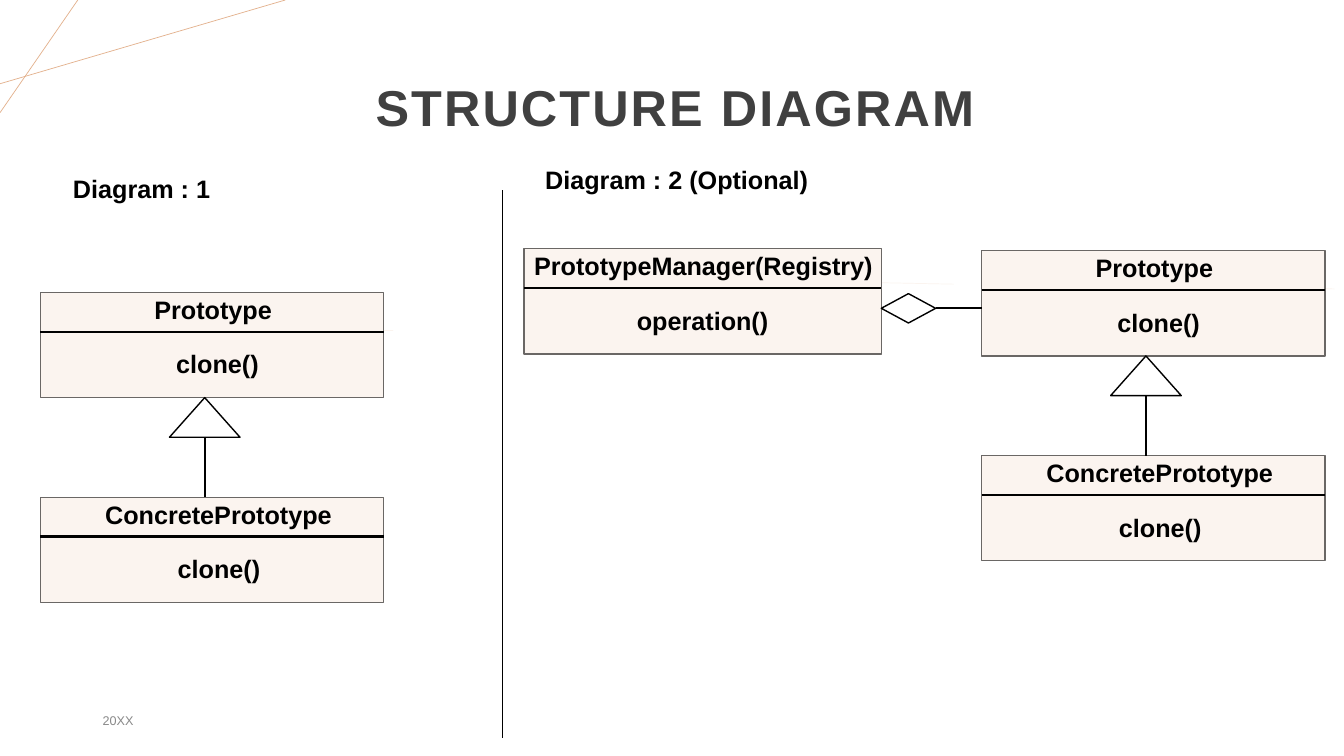
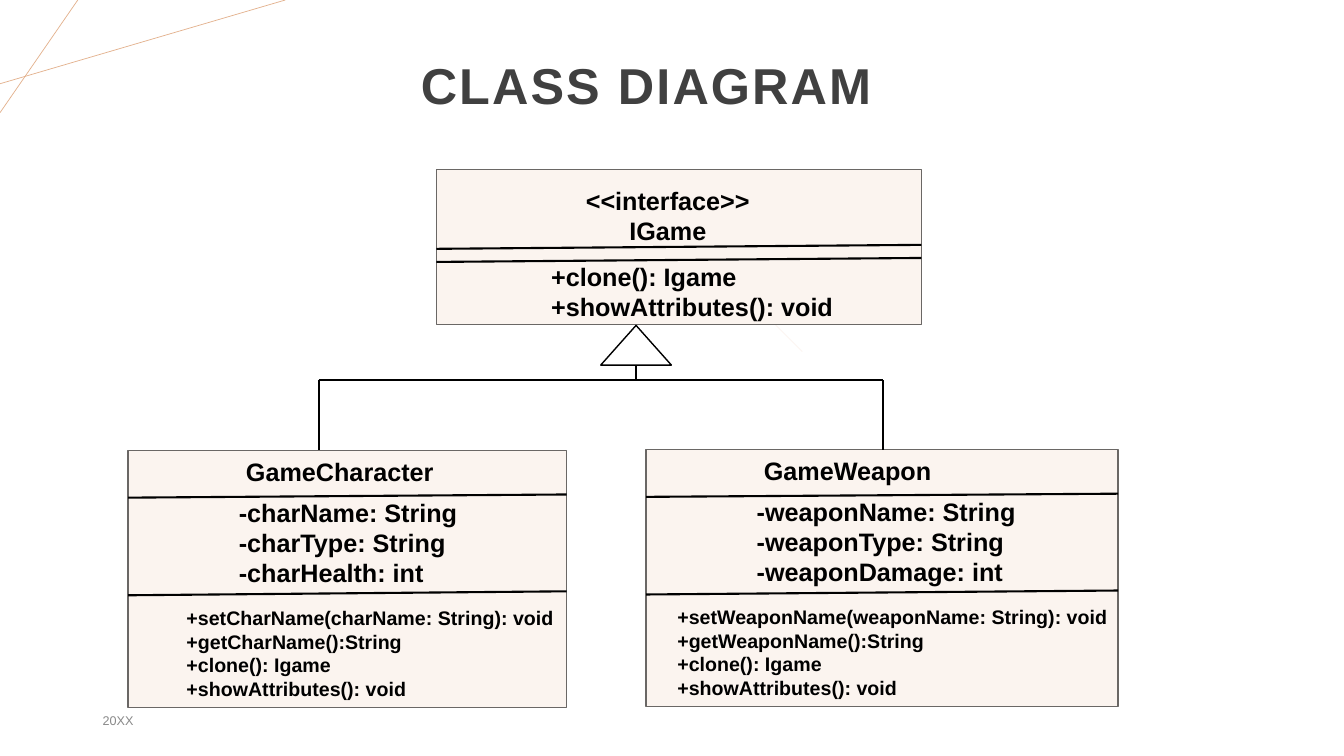
from pptx import Presentation
from pptx import util as u
from pptx.dml.color import RGBColor
from pptx.enum import shapes, text
from pptx.oxml.ns import qn
from lxml import etree

# Shared style: colours and text formats
INK, GREY, TITLE, WHITE = "000000", "898989", "404040", "FFFFFF"
BOX, EDGE, ACCENT = "FBF4EF", "6A6765", "E3B18D"
FORMATS = {
    "title": {"size": u.Pt(36), "bold": True},
    "body": {"size": u.Pt(18), "bold": True},
    "small": {"size": u.Pt(14), "bold": True},
    "footer": {"size": u.Pt(9), "bold": False},
}
LEFT, CENTER = text.PP_ALIGN.LEFT, text.PP_ALIGN.CENTER
TOP, MIDDLE = text.MSO_ANCHOR.TOP, text.MSO_ANCHOR.MIDDLE
TRIANGLE_W, TRIANGLE_H = 1.78, 1


def rgb(hex_string):
    return RGBColor.from_string(hex_string)


class Deck:
    def __init__(self):
        self.prs = Presentation()
        self.prs.slide_width, self.prs.slide_height = u.Cm(33.87), u.Cm(19.05)
        self.s = None

    def slide(self, title, x, y, h):
        """Start a slide with its corner lines, title and footer."""
        self.s = self.prs.slides.add_slide(self.prs.slide_layouts[6])
        self.line(0, 2.11, 7.19, 0, ACCENT, 0.5)
        self.line(1.96, 0, 0, 2.84, ACCENT, 0.5)
        tf = self.label([title], x, y, 29.21, h, "title", TITLE, CENTER, MIDDLE)
        p = tf.paragraphs[0]
        p.line_spacing = 0.9
        p.runs[0].font._element.set("spc", "150")
        self.label(["20XX"], 2.59, 17.65, 7.4, 1.02, "footer", GREY, anchor=MIDDLE)

    def label(self, lines, x, y, w, h=1, fmt="body", color=INK, align=LEFT, anchor=TOP):
        tf = self.s.shapes.add_textbox(*map(u.Cm, (x, y, w, h))).text_frame
        for name, value in {"word_wrap": True, "vertical_anchor": anchor, "margin_left": 0,
                            "margin_right": 0, "margin_top": 0, "margin_bottom": 0}.items():
            setattr(tf, name, value)
        for i, words in enumerate(lines):
            p = tf.paragraphs[0] if i == 0 else tf.add_paragraph()
            p.alignment = align
            r = p.add_run()
            r.text = words
            r.font.name = "Arial"
            r.font.color.rgb = rgb(color)
            for name, value in FORMATS[fmt].items():
                setattr(r.font, name, value)
        return tf

    def line(self, x1, y1, x2, y2, color=INK, width=1.5):
        sp = self.s.shapes.add_connector(shapes.MSO_CONNECTOR.STRAIGHT, *map(u.Cm, (x1, y1, x2, y2)))
        sp.line.color.rgb = rgb(color)
        sp.line.width = u.Pt(width)
        etree.SubElement(sp._element.spPr, qn("a:effectLst"))

    def shape(self, kind, x, y, w, h, fill=WHITE, edge=INK):
        sp = self.s.shapes.add_shape(kind, *map(u.Cm, (x, y, w, h)))
        sp.shadow.inherit = False
        sp.fill.solid()
        sp.fill.fore_color.rgb = rgb(fill)
        sp.line.color.rgb = rgb(edge)
        sp.line.width = u.Pt(1)

    def triangle(self, x, y):
        """Inheritance arrowhead with its tip at (x, y)."""
        self.shape(shapes.MSO_SHAPE.ISOSCELES_TRIANGLE, x - TRIANGLE_W / 2, y, TRIANGLE_W, TRIANGLE_H)

    def uml(self, x, y, w, h, rules, parts):
        """Class box; rules are (offset, rise), parts are (lines, dx, dy, format)."""
        self.shape(shapes.MSO_SHAPE.RECTANGLE, x, y, w, h, BOX, EDGE)
        for dy, rise in rules:
            self.line(x, y + dy, x + w, y + dy - rise)
        for lines, dx, dy, fmt in parts:
            self.label(lines, x + dx, y + dy, w - dx, 0.78 * len(lines), fmt)

    def simple_class(self, x, y, w, name, name_dx, method, method_dx):
        self.uml(x, y, w, 2.65, [(0.99, 0)],
                 [([name], name_dx, 0.05, "body"), ([method], method_dx, 1.42, "body")])

    def hierarchy(self, x, y):
        """Prototype above the class that inherits from it."""
        w, step, axis = 8.65, 5.16, x + 4.14
        self.line(x + 0.33, y + 0.79, x + 8.89, y + 0.96, BOX, 0.5)
        self.simple_class(x, y, w, "Prototype", 2.87, "clone()", 3.42)
        self.simple_class(x, y + step, w, "ConcretePrototype", 1.63, "clone()", 3.46)
        self.triangle(axis, y + 2.65)
        self.line(axis, y + 2.65 + TRIANGLE_H, axis, y + step)


def structure_diagram(d):
    d.slide("STRUCTURE DIAGRAM", 2.41, 0.94, 3.68)
    d.label(["Diagram : 1"], 1.84, 4.37, 6)
    d.label(["Diagram : 2 (Optional)"], 13.74, 4.14, 9)
    d.line(12.67, 4.8, 12.67, 18.59, width=0.5)
    d.hierarchy(1.02, 7.37)

    # Registry that aggregates the prototype, wide enough for its name
    x, w, axis, diamond_w, diamond_h = 13.21, 9, 7.77, 1.37, 0.74
    d.line(15.44, 6.99, 24.03, 7.16, BOX, 0.5)
    d.simple_class(x, 6.27, w, "PrototypeManager(Registry)", 0.25, "operation()", 2.84)
    d.hierarchy(24.74, 6.32)
    d.line(x + w + diamond_w, axis, 24.74, axis)
    d.shape(shapes.MSO_SHAPE.DIAMOND, x + w, axis - diamond_h / 2, diamond_w, diamond_h)


def class_diagram(d):
    d.slide("CLASS DIAGRAM", 1.68, 0.48, 3.51)
    shared = ["+clone(): Igame", "+showAttributes(): void"]

    # Interface
    d.line(17.68, 6.32, 20.22, 8.86, BOX, 0.5)
    d.uml(11, 4.27, 12.22, 3.91, [(2, 0.1), (2.33, 0.1)], [(shared, 2.89, 2.31, "body")])
    d.label(["<<interface>>", "IGame"], 13.02, 4.67, 7.62, 1.6, align=CENTER)

    # Implementing classes: name, box, attributes, own methods and their indent
    for name, x, y, w, attributes, methods, indent in (
        ("GameCharacter", 3.23, 11.35, 11.05,
         ["-charName: String", "-charType: String", "-charHealth: int"],
         ["+setCharName(charName: String): void", "+getCharName():String"], 1.47),
        ("GameWeapon", 16.28, 11.33, 11.9,
         ["-weaponName: String", "-weaponType: String", "-weaponDamage: int"],
         ["+setWeaponName(weaponName: String): void", "+getWeaponName():String"], 0.79),
    ):
        d.uml(x, y, w, 6.48, [(1.19, 0.08), (3.65, 0.1)],
              [([name], 2.97, 0.15, "body"), (attributes, 2.79, 1.17, "body"),
               (methods + shared, indent, 3.92, "small")])

    # Inheritance tree
    left, right, axis, bar = 8.03, 22.25, 16.03, 9.58
    d.line(left, bar, right, bar)
    for x in (left, right):
        d.line(x, bar, x, 11.33)
    d.line(axis, bar, axis, 9.02)
    d.triangle(axis, 8.2)


def main():
    d = Deck()
    structure_diagram(d)
    class_diagram(d)
    d.prs.save("out.pptx")


if __name__ == "__main__":
    main()
